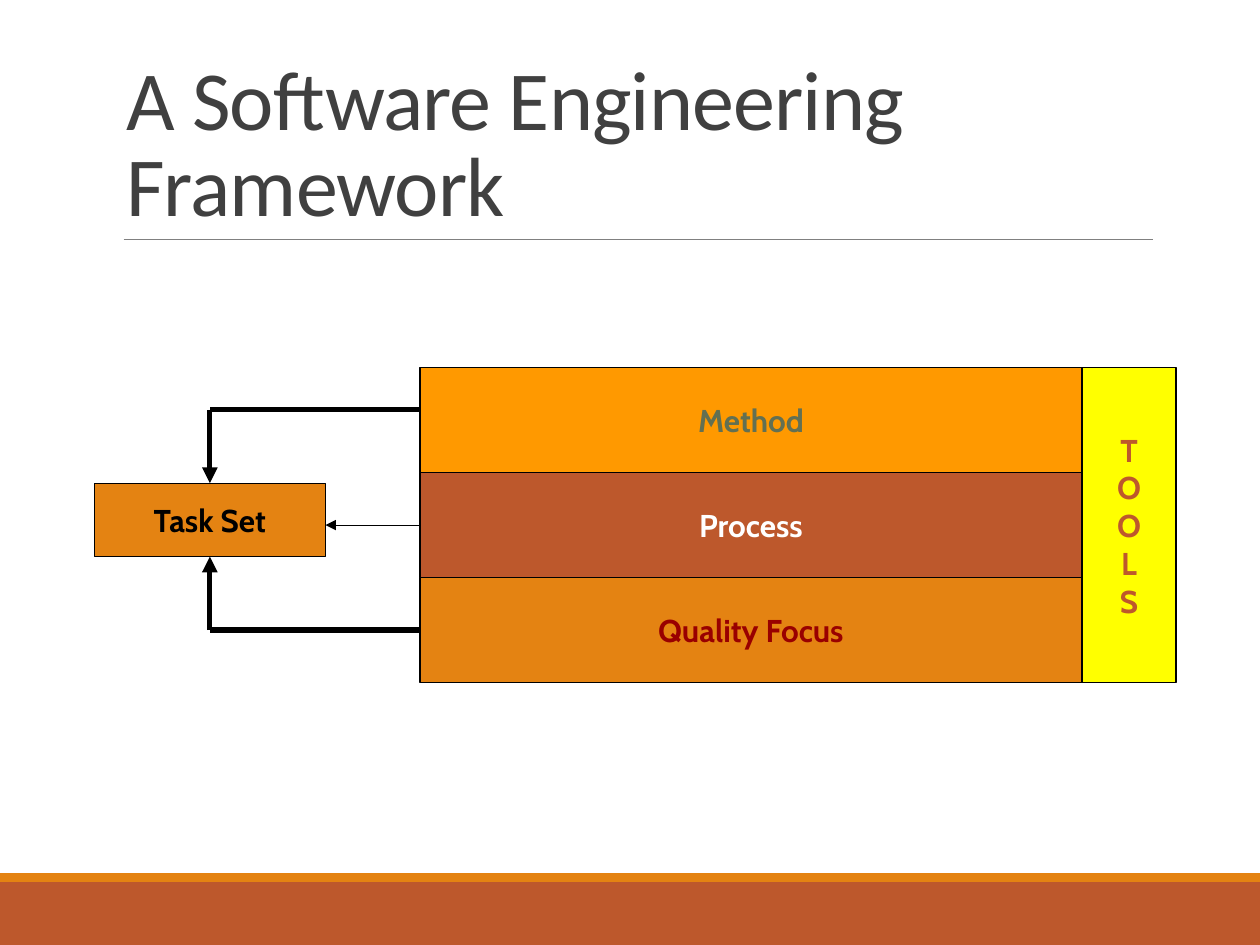
"""Build the slide showing the layers of a software engineering framework."""
from lxml.etree import SubElement
from pptx import Presentation
from pptx.dml.color import RGBColor
from pptx.enum.shapes import MSO_CONNECTOR, MSO_SHAPE
from pptx.enum.text import MSO_ANCHOR, MSO_AUTO_SIZE, PP_ALIGN
from pptx.oxml.ns import qn
from pptx.util import Cm, Pt

BLACK = RGBColor(0x00, 0x00, 0x00)
WHITE = RGBColor(0xFF, 0xFF, 0xFF)
DARK_GRAY = RGBColor(0x40, 0x40, 0x40)
GRAY = RGBColor(0x80, 0x80, 0x80)
ORANGE = RGBColor(0xE4, 0x83, 0x12)
RUST = RGBColor(0xBD, 0x58, 0x2C)
AMBER = RGBColor(0xFF, 0x99, 0x00)
YELLOW = RGBColor(0xFF, 0xFF, 0x00)
OLIVE = RGBColor(0x63, 0x70, 0x52)
DARK_RED = RGBColor(0x99, 0x00, 0x00)

LABEL_FONT = {"name": "Cabin", "size": Pt(18), "bold": True}
LABEL_FRAME = {"word_wrap": False, "vertical_anchor": MSO_ANCHOR.MIDDLE}
TITLE_FONT = {"name": "Calibri", "size": Pt(48), "bold": False}
TITLE_FRAME = {
    "word_wrap": True,
    "vertical_anchor": MSO_ANCHOR.BOTTOM,
    "auto_size": MSO_AUTO_SIZE.NONE,
}
TITLE_PARAGRAPH = {"alignment": PP_ALIGN.LEFT, "line_spacing": 0.85}

presentation = Presentation()
presentation.slide_width = Cm(25.4)
presentation.slide_height = Cm(19.05)
slide = presentation.slides.add_slide(presentation.slide_layouts[5])


def add_box(left, top, width, height, fill, text="", color=BLACK, border=None):
    shape = slide.shapes.add_shape(
        MSO_SHAPE.RECTANGLE, Cm(left), Cm(top), Cm(width), Cm(height)
    )
    shape.shadow.inherit = False
    shape.fill.solid()
    shape.fill.fore_color.rgb = fill
    if border:
        shape.line.color.rgb = BLACK
        shape.line.width = Pt(border)
    else:
        shape.line.fill.background()
    if text:
        for name, value in LABEL_FRAME.items():
            setattr(shape.text_frame, name, value)
        shape.text_frame.text = text
        for paragraph in shape.text_frame.paragraphs:
            paragraph.alignment = PP_ALIGN.CENTER
            paragraph.font.color.rgb = color
            for name, value in LABEL_FONT.items():
                setattr(paragraph.font, name, value)


def add_line(start_x, start_y, end_x, end_y, width, color=BLACK, arrow=False):
    connector = slide.shapes.add_connector(
        MSO_CONNECTOR.STRAIGHT, Cm(start_x), Cm(start_y), Cm(end_x), Cm(end_y)
    )
    connector.line.color.rgb = color
    connector.line.width = Pt(width)
    if arrow:
        SubElement(connector.line._get_or_add_ln(), qn("a:tailEnd"), type="triangle")
    SubElement(connector._element.spPr, qn("a:effectLst"))


add_box(0, 17.78, 25.4, 1.27, RUST)
add_box(0, 17.6, 25.4, 0.18, ORANGE)
add_line(2.49, 4.83, 23.24, 4.83, 0.5, GRAY)

title = slide.shapes.title
title_place = {"left": 2.29, "top": 0.79, "width": 20.96, "height": 4.04}
for name, value in title_place.items():
    setattr(title, name, Cm(value))
title.text_frame.text = "A Software Engineering Framework"
for name, value in TITLE_FRAME.items():
    setattr(title.text_frame, name, value)
paragraph = title.text_frame.paragraphs[0]
for name, value in TITLE_PARAGRAPH.items():
    setattr(paragraph, name, value)
font = paragraph.runs[0].font
for name, value in TITLE_FONT.items():
    setattr(font, name, value)
font.color.rgb = DARK_GRAY
font._element.set("spc", "-50")

stack_left, stack_top, stack_width, stack_height = 8.47, 7.41, 13.34, 6.35
layers = [
    ("Method", AMBER, OLIVE),
    ("Process", RUST, WHITE),
    ("Quality Focus", ORANGE, DARK_RED),
]
layer_height = stack_height / len(layers)
for index, (text, fill, color) in enumerate(layers):
    layer_top = stack_top + index * layer_height
    add_box(stack_left, layer_top, stack_width, layer_height, fill, text, color, 0.75)
add_box(
    stack_left + stack_width, stack_top, 1.9, stack_height,
    YELLOW, "\n".join("TOOLS"), RUST, 0.75,
)

task_left, task_top, task_width, task_height = 1.9, 9.74, 4.66, 1.48
task_center = task_left + task_width / 2
add_box(
    task_left, task_top, task_width, task_height, ORANGE, "Task Set", BLACK, 0.5
)
for branch_y, task_edge in [(8.26, task_top), (12.7, task_top + task_height)]:
    add_line(stack_left, branch_y, task_center, branch_y, 3)
    add_line(task_center, branch_y, task_center, task_edge, 3, arrow=True)
process_middle = stack_top + stack_height / 2
add_line(
    stack_left, process_middle, task_left + task_width, process_middle, 0.5, arrow=True
)

presentation.save("out.pptx")
